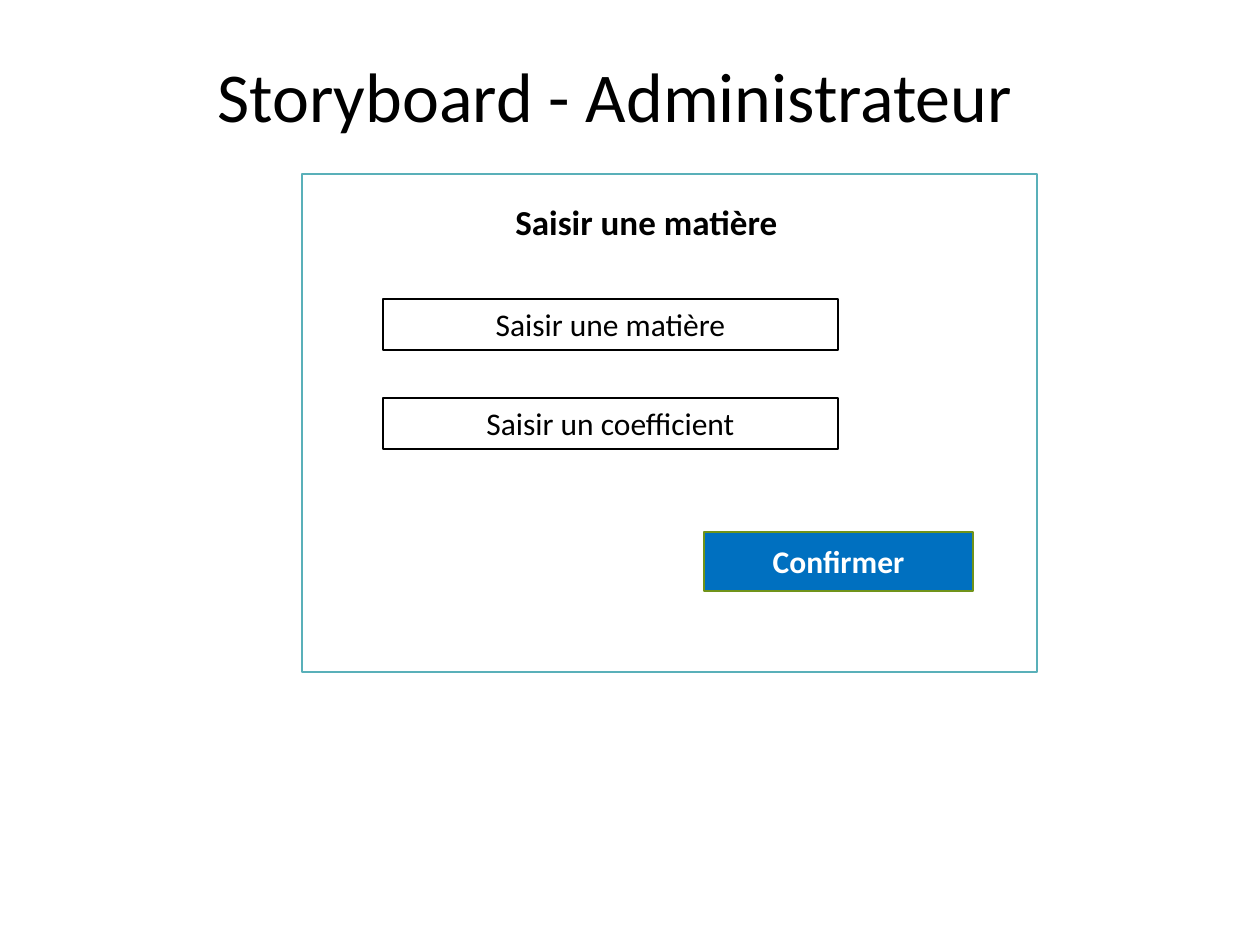
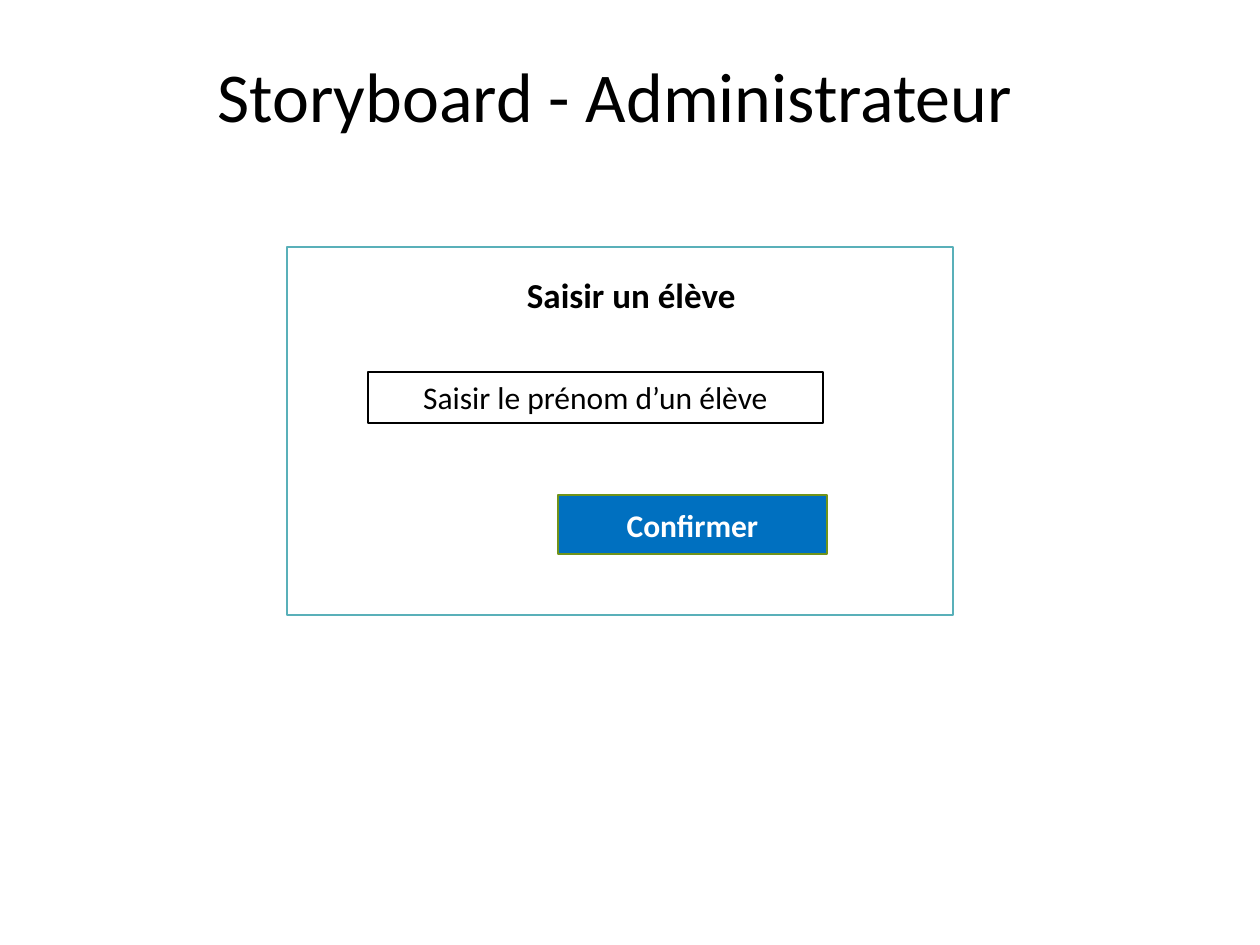
"""Build the administrator storyboard: one entry form per slide."""

from dataclasses import dataclass

import pptx
import pptx.dml.color
import pptx.enum.shapes
import pptx.enum.text
import pptx.slide
import pptx.util

TITLE = "Storyboard - Administrateur"
FONT = "Calibri"
BLACK, WHITE, TEAL, BLUE, GREEN = "000000", "FFFFFF", "59B0B9", "0070C0", "70931A"
FIELD_STEP = 56.9


@dataclass(frozen=True)
class Area:
    """Position and size in points."""

    left: float
    top: float
    width: float
    height: float

    def inside(self, left: float, top: float, width: float, height: float) -> "Area":
        """Return an area placed relative to this one's top left corner."""
        return Area(self.left + left, self.top + top, width, height)


@dataclass(frozen=True)
class Style:
    """Look of a box and its text."""

    size: float = 18
    bold: bool = False
    color: str = BLACK
    fill: str | None = None
    line: str | None = None
    middle: bool = False


@dataclass(frozen=True)
class Form:
    """One entry form with its fields and the button's place in the frame."""

    frame: Area
    heading: str
    fields: tuple[str, ...]
    button_left: float
    button_top: float


TITLE_AREA = Area(45.4, 26.6, 612, 55.4)
TITLE_STYLE = Style(size=40)
HEADING_STYLE = Style(size=20, bold=True)
FRAME_STYLE = Style(fill=WHITE, line=TEAL)
FIELD_STYLE = Style(fill=WHITE, line=BLACK)
BUTTON_STYLE = Style(bold=True, color=WHITE, fill=BLUE, line=GREEN, middle=True)

FORMS = (
    Form(Area(172.8, 99.4, 419.8, 284.4), "Saisir une matière",
         ("Saisir une matière", "Saisir un coefficient"), 229.7, 204.5),
    Form(Area(164.2, 141.1, 380.2, 210.2), "Saisir un élève",
         ("Saisir le prénom d’un élève",), 154.8, 141.8),
)


def rgb(value: str) -> pptx.dml.color.RGBColor:
    """Turn a hex string into a colour."""
    return pptx.dml.color.RGBColor.from_string(value)


def apply(target: object, values: dict[str, object]) -> None:
    """Set each named attribute on the target."""
    for name, value in values.items():
        setattr(target, name, value)


def add_box(page: pptx.slide.Slide, area: Area, style: Style, text: str = "") -> None:
    """Draw a rectangle, or a plain text box when the style has no fill."""
    place = [pptx.util.Pt(n) for n in (area.left, area.top, area.width, area.height)]
    if style.fill and style.line:
        box = page.shapes.add_shape(pptx.enum.shapes.MSO_SHAPE.RECTANGLE, *place)
        box.shadow.inherit = False
        box.fill.solid()
        box.fill.fore_color.rgb = rgb(style.fill)
        box.line.color.rgb = rgb(style.line)
        box.line.width = pptx.util.Pt(1.25)
    else:
        box = page.shapes.add_textbox(*place)
    if not text:
        return
    anchors, fits = pptx.enum.text.MSO_ANCHOR, pptx.enum.text.MSO_AUTO_SIZE
    apply(box.text_frame, {
        "word_wrap": True,
        "vertical_anchor": anchors.MIDDLE if style.middle else anchors.TOP,
        "auto_size": fits.NONE if style.middle else fits.SHAPE_TO_FIT_TEXT,
    })
    para = box.text_frame.paragraphs[0]
    para.alignment = pptx.enum.text.PP_ALIGN.CENTER
    span = para.add_run()
    span.text = text
    apply(span.font, {"name": FONT, "size": pptx.util.Pt(style.size), "bold": style.bold})
    span.font.color.rgb = rgb(style.color)


def add_form(page: pptx.slide.Slide, form: Form) -> None:
    """Draw the title, frame, heading, fields and button of a form."""
    frame = form.frame
    add_box(page, frame, FRAME_STYLE)
    add_box(page, TITLE_AREA, TITLE_STYLE, TITLE)
    add_box(page, frame.inside(23.8, 11.5, 345.6, 31.5), HEADING_STYLE, form.heading)
    for row, label in enumerate(form.fields):
        area = frame.inside(46.1, 71.3 + row * FIELD_STEP, 259.9, 29.1)
        add_box(page, area, FIELD_STYLE, label)
    button = frame.inside(form.button_left, form.button_top, 153.4, 33.8)
    add_box(page, button, BUTTON_STYLE, "Confirmer")


def main() -> None:
    """Create the deck and save it."""
    deck = pptx.Presentation()
    apply(deck, {"slide_width": pptx.util.Pt(720), "slide_height": pptx.util.Pt(540)})
    for form in FORMS:
        add_form(deck.slides.add_slide(deck.slide_layouts[6]), form)
    deck.save("out.pptx")


if __name__ == "__main__":
    main()
